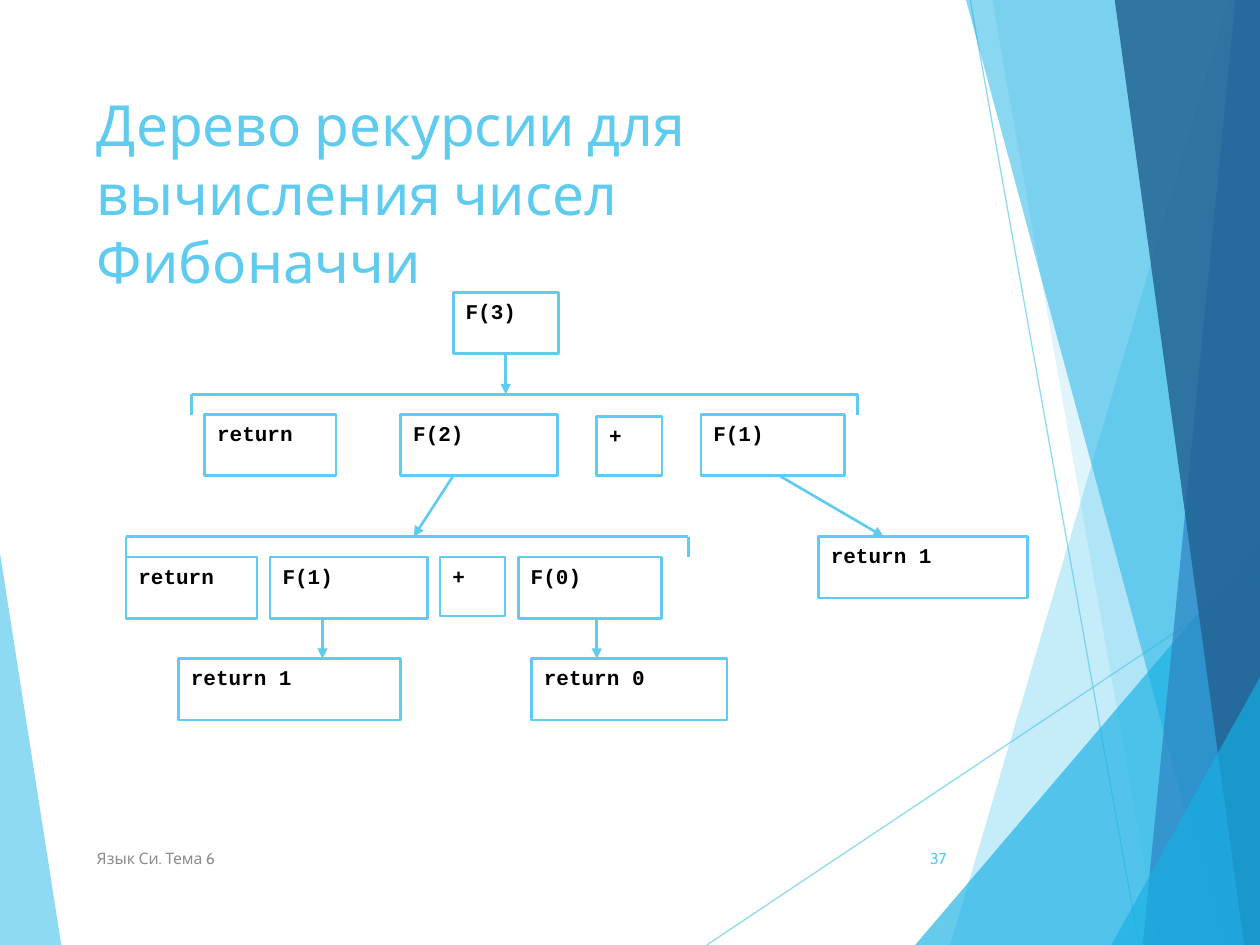
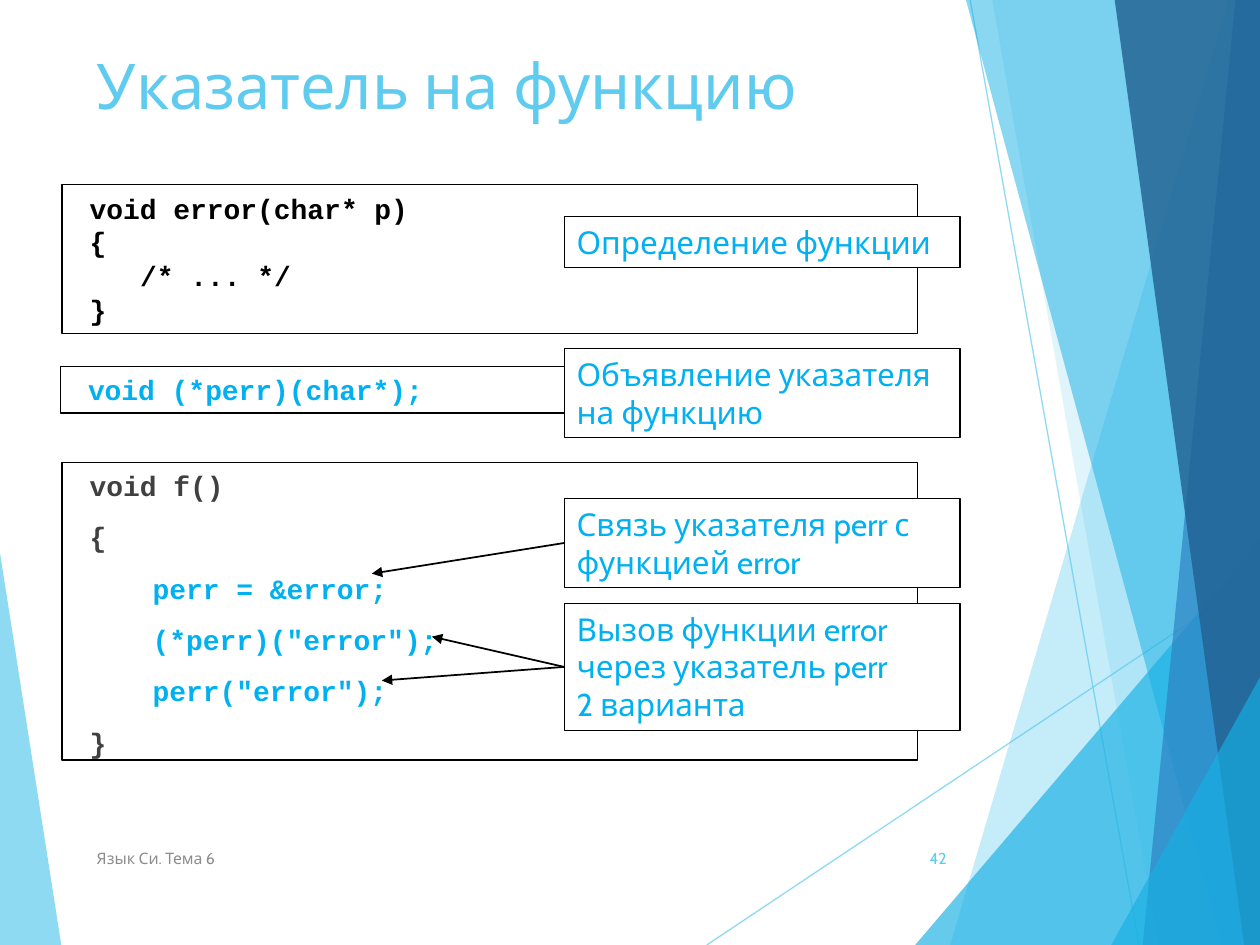
from lxml import etree
from pptx import Presentation
from pptx.dml.color import RGBColor
from pptx.enum import shapes as kinds, text as txt
from pptx.oxml import ns
from pptx.util import Pt

# Shared style
SKY = RGBColor(0x5F, 0xCB, 0xEF)
CYAN = RGBColor(0x17, 0xB0, 0xE4)
BLUE = RGBColor(0x2E, 0x83, 0xC3)
NAVY = RGBColor(0x22, 0x62, 0x92)
ACCENT = RGBColor(0x00, 0xB0, 0xF0)
DARK = RGBColor(0x40, 0x40, 0x40)
GRAY = RGBColor(0x8C, 0x8C, 0x8C)
BLACK = RGBColor(0, 0, 0)
WHITE = RGBColor(255, 255, 255)
SANS, MONO = "Cabin", "Courier New"
WIDTH, HEIGHT = 720, 540
MARGIN = 48.2
TOP, LEFT, BOTTOM = 0, 1, 2  # connection sites

# Backdrop: colour, opacity in percent, corners
FACETS_BELOW = [(SKY, 70, [(0, 316), (35.3, 540), (0, 540)])]
FACETS_ABOVE = [
    (SKY, 36, [(702, 0), (543, 540), (720, 540), (720, 0)]),
    (SKY, 20, [(567.4, 0), (661.7, 540), (720, 540), (720, 0)]),
    (CYAN, 66, [(522.7, 540), (720, 309), (720, 540)]),
    (CYAN, 50, [(552.2, 0), (698.4, 540), (720, 540), (720, 0)]),
    (BLUE, 70, [(706.3, 0), (653, 540), (720, 540), (720, 0)]),
    (NAVY, 82, [(637.4, 0), (711.4, 540), (720, 540), (720, 0)]),
    (CYAN, 66, [(635, 540), (720, 387), (720, 540)]),
]
RAYS = [((403.9, 540), (720, 329)), ((554.4, 0), (650.9, 540))]


def set_alpha(fill, percent):
    color = fill._xPr.find(".//" + ns.qn("a:srgbClr"))
    etree.SubElement(color, ns.qn("a:alpha")).set("val", str(percent * 1000))


def add_facet(slide, color, opacity, corners):
    builder = slide.shapes.build_freeform(*corners[0], scale=Pt(1))
    builder.add_line_segments(corners[1:], close=True)
    facet = builder.convert_to_shape()
    facet.shadow.inherit = False
    facet.fill.solid()
    facet.fill.fore_color.rgb = color
    set_alpha(facet.fill, opacity)
    facet.line.fill.background()


def add_line(slide, start, end, color, weight, arrow=False):
    line = slide.shapes.add_connector(
        kinds.MSO_CONNECTOR.STRAIGHT, *(Pt(v) for v in (*start, *end)))
    line.line.color.rgb = color
    line.line.width = Pt(weight)
    if arrow:
        head = etree.SubElement(line.line._get_or_add_ln(), ns.qn("a:tailEnd"))
        head.set("type", "triangle")
    etree.SubElement(line._element.spPr, ns.qn("a:effectLst"))
    return line


def style(paragraph, font, size, color, bold=False, align=txt.PP_ALIGN.LEFT):
    paragraph.alignment = align
    paragraph.font.name = font
    paragraph.font.size = Pt(size)
    paragraph.font.bold = bold
    paragraph.font.color.rgb = color


def add_box(slide, box, line_color, weight, fill=None):
    rect = slide.shapes.add_shape(
        kinds.MSO_SHAPE.RECTANGLE, *(Pt(v) for v in box))
    rect.shadow.inherit = False
    if fill is None:
        rect.fill.background()
    else:
        rect.fill.solid()
        rect.fill.fore_color.rgb = fill
    rect.line.color.rgb = line_color
    rect.line.width = Pt(weight)
    rect.text_frame.word_wrap = True
    rect.text_frame.vertical_anchor = txt.MSO_ANCHOR.TOP
    return rect


def add_node(slide, text, left, top, width, height=35):
    node = add_box(slide, (left, top, width, height), SKY, 1.5, WHITE)
    node.text_frame.text = text
    style(node.text_frame.paragraphs[0], MONO, 12, BLACK, bold=True)
    return node


def add_bracket(slide, left, right, top, drop=11.6):
    """Bar over one level of calls, with a tick at each end."""
    add_line(slide, (left, top), (right, top), SKY, 1.5)
    for x in (left, right):
        add_line(slide, (x, top), (x, top + drop), SKY, 1.5)


def add_code(slide, box, lines, gap=0):
    """Lines are (text, colour, left indent)."""
    frame = add_box(slide, box, BLACK, 0.75).text_frame
    for i, (text, color, indent) in enumerate(lines):
        line = frame.add_paragraph() if i else frame.paragraphs[0]
        line.text = text
        style(line, MONO, 16, color, bold=True)
        line.line_spacing = Pt(19.3)
        line.space_before = Pt(gap)
        line._p.get_or_add_pPr().set("marL", str(Pt(indent)))


def add_callout(slide, text, top, height):
    callout = add_box(slide, (322.4, top, 226.2, height), BLACK, 0.75, WHITE)
    callout.text_frame.text = text
    for line in callout.text_frame.paragraphs:
        style(line, SANS, 18, ACCENT)
    return callout


def point_from(slide, callout, target):
    arrow = add_line(slide, (0, 0), target, BLACK, 1, arrow=True)
    arrow.begin_connect(callout, LEFT)


def add_footer(slide, text, left, width, color, align):
    frame = slide.shapes.add_textbox(
        Pt(left), Pt(475.9), Pt(width), Pt(28.8)).text_frame
    frame.word_wrap = True
    frame.vertical_anchor = txt.MSO_ANCHOR.MIDDLE
    frame.text = text
    style(frame.paragraphs[0], SANS, 9, color, align=align)


def add_slide(deck, heading, top, size, number):
    slide = deck.slides.add_slide(deck.slide_layouts[5])
    for facet in FACETS_BELOW:
        add_facet(slide, *facet)
    for start, end in RAYS:
        set_alpha(add_line(slide, start, end, SKY, 0.75).line.fill, 70)
    for facet in FACETS_ABOVE:
        add_facet(slide, *facet)

    title = slide.shapes.title
    title.left, title.top = Pt(MARGIN), Pt(top)
    title.width, title.height = Pt(500), Pt(104)
    title.text_frame.text = heading
    title.text_frame.auto_size = txt.MSO_AUTO_SIZE.NONE
    title.text_frame.vertical_anchor = txt.MSO_ANCHOR.TOP
    style(title.text_frame.paragraphs[0], SANS, size, SKY)

    add_footer(slide, "Язык Си. Тема 6", MARGIN, 364, GRAY, txt.PP_ALIGN.LEFT)
    add_footer(slide, number, 507.6, 40.4, SKY, txt.PP_ALIGN.RIGHT)
    return slide


def add_recursion_tree(deck):
    slide = add_slide(deck, "Дерево рекурсии для вычисления чисел Фибоначчи",
                      48, 32.4, "37")
    first, second, leaves = 236.9, 318.3, 376.4
    first_bar, second_bar = 225.3, 306.7

    # Calls
    root = add_node(slide, "F(3)", 259, 167.1, 60)
    for text, left, width in [("return", 117, 75), ("F(2)", 229, 89.6),
                              ("F(1)", 400.5, 82)]:
        add_node(slide, text, left, first, width)
    add_node(slide, "+", 341, 238, 37.3, 33.8)
    for text, left, width in [("return", 72, 75), ("F(1)", 154.4, 89.8),
                              ("F(0)", 296.2, 82)]:
        add_node(slide, text, left, second, width)
    add_node(slide, "+", 251.4, second, 37.3, 33.8)

    # Results
    add_node(slide, "return 1", 467.7, second_bar, 119.5)
    add_node(slide, "return 1", 102, leaves, 127)
    add_node(slide, "return 0", 303.7, leaves, 111.7)

    # Links
    link = add_line(slide, (0, 0), (289, first_bar), SKY, 1.5, arrow=True)
    link.begin_connect(root, BOTTOM)
    for start, end in [((259, 271.9), (236.4, second_bar)),
                       ((445.5, 271.9), (505, second_bar)),
                       ((341, 353.3), (341, leaves)),
                       ((184.3, 353.3), (184.3, leaves))]:
        add_line(slide, start, end, SKY, 1.5, arrow=True)
    add_bracket(slide, 109.6, 490.1, first_bar)
    add_bracket(slide, 72, 393.3, second_bar)


def add_function_pointer(deck):
    slide = add_slide(deck, "Указатель на функцию", 23, 36, "42")
    base, comment, nested = 8.7, 37.5, 44.7

    # Code
    add_code(slide, (35.5, 264.2, 489, 170.2), [
        ("void f()", DARK, base),
        ("{", DARK, base),
        ("perr = &error;", ACCENT, nested),
        ('(*perr)("error");', ACCENT, nested),
        ('perr("error");', ACCENT, nested),
        ("}", DARK, base),
    ], gap=10)
    add_code(slide, (35.5, 105.5, 489, 85), [
        ("void error(char* p)", BLACK, base),
        ("{", BLACK, base),
        ("/* ... */", BLACK, comment),
        ("}", BLACK, base),
    ])
    add_code(slide, (34.5, 209.3, 489, 26.7),
             [("void (*perr)(char*);", ACCENT, base)])

    # Explanations
    add_callout(slide, "Определение функции", 123.7, 29)
    add_callout(slide, "Объявление указателя на функцию", 199.2, 50.8)
    binding = add_callout(
        slide, "Связь указателя perr с функцией error", 284.9, 50.8)
    call = add_callout(
        slide, "Вызов функции error через указатель perr\n2 варианта",
        344.8, 72.6)
    point_from(slide, binding, (212.5, 327.8))
    point_from(slide, call, (246.8, 363.8))
    point_from(slide, call, (218.2, 388.9))


def main():
    deck = Presentation()
    deck.slide_width, deck.slide_height = Pt(WIDTH), Pt(HEIGHT)
    add_recursion_tree(deck)
    add_function_pointer(deck)
    deck.save("out.pptx")


if __name__ == "__main__":
    main()
